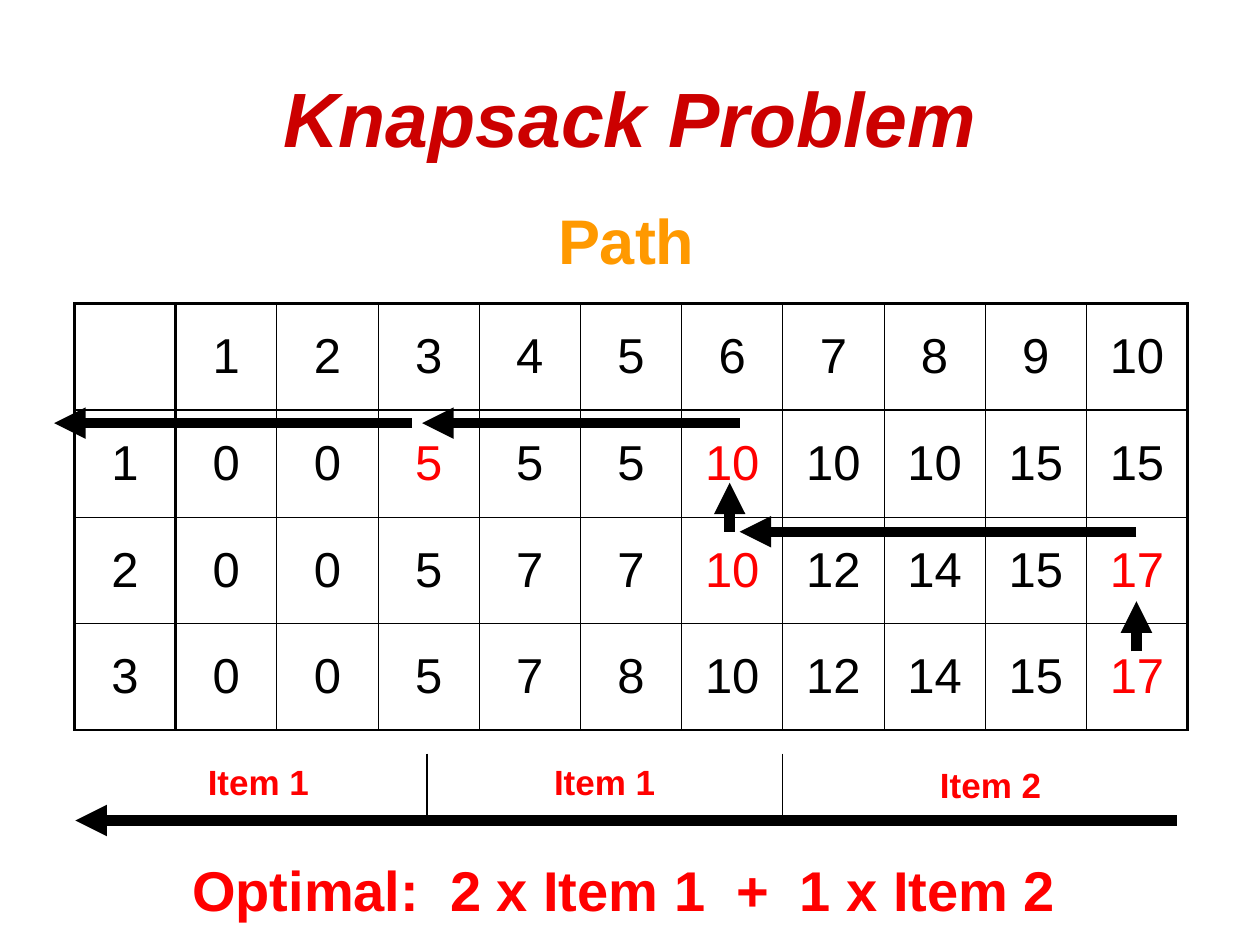
from dataclasses import dataclass

from lxml import etree
from pptx import Presentation
from pptx import util as u
from pptx.dml.color import RGBColor
from pptx.enum import shapes, text
from pptx.oxml import ns


@dataclass(frozen=True)
class Theme:
    font: str = "Arial"
    title_color: str = "CC0000"
    heading_color: str = "FF9900"
    path_color: str = "FF0000"
    ink: str = "000000"
    title_size: int = 44
    heading_size: int = 36
    result_size: int = 32
    cell_size: int = 28
    label_size: int = 20
    arrow_width: float = 6
    divider_width: float = 0.75
    heavy_border: float = 1.47
    light_border: float = 0.45


class KnapsackSlide:
    def __init__(self, deck, theme):
        self.theme = theme
        self.slide = deck.slides.add_slide(deck.slide_layouts[1])

    def set_words(self, frame, words, size, color, before=0, bold=True, italic=False):
        frame.text = words
        para = frame.paragraphs[0]
        para.alignment = text.PP_ALIGN.CENTER
        para.space_before = u.Pt(before)
        for span in para.runs:
            font = span.font
            font.name, font.size = self.theme.font, u.Pt(size)
            font.bold, font.italic = bold, italic
            font.color.rgb = RGBColor.from_string(color)
        return para

    def place(self, shape, left, top, width, height):
        shape.left, shape.top = u.Cm(left), u.Cm(top)
        shape.width, shape.height = u.Cm(width), u.Cm(height)
        frame = shape.text_frame
        frame.word_wrap = True
        frame.auto_size = text.MSO_AUTO_SIZE.NONE
        return frame

    def title(self, words, *area):
        frame = self.place(self.slide.shapes.title, *area)
        frame.vertical_anchor = text.MSO_ANCHOR.MIDDLE
        self.set_words(frame, words, self.theme.title_size, self.theme.title_color, italic=True)

    def heading(self, words, *area):
        frame = self.place(self.slide.placeholders[1], *area)
        para = self.set_words(frame, words, self.theme.heading_size, self.theme.heading_color, 9)
        properties = para._p.get_or_add_pPr()
        properties.set("marL", "0")
        properties.set("indent", "0")
        etree.SubElement(properties, ns.qn("a:buNone"))

    def label(self, words, size, before, *area):
        box = self.slide.shapes.add_textbox(0, 0, 0, 0)
        self.set_words(self.place(box, *area), words, size, self.theme.path_color, before)

    def line(self, start, end, width, arrow=False):
        points = [u.Cm(value) for value in (*start, *end)]
        connector = self.slide.shapes.add_connector(shapes.MSO_CONNECTOR.STRAIGHT, *points)
        connector.line.width = u.Pt(width)
        connector.line.color.rgb = RGBColor.from_string(self.theme.ink)
        if arrow:
            stroke = connector.line._get_or_add_ln()
            etree.SubElement(stroke, ns.qn("a:tailEnd"), type="triangle")
        etree.SubElement(connector._element.spPr, ns.qn("a:effectLst"))

    def border(self, cell, heavy_sides):
        for index, side in enumerate("LRTB"):
            width = self.theme.heavy_border if side in heavy_sides else self.theme.light_border
            edge = etree.Element(ns.qn(f"a:ln{side}"), w=str(u.Pt(width)))
            fill = etree.SubElement(edge, ns.qn("a:solidFill"))
            etree.SubElement(fill, ns.qn("a:srgbClr"), val=self.theme.ink)
            cell._tc.get_or_add_tcPr().insert(index, edge)

    def table(self, rows, path_cells, left, top, column_width, row_height):
        row_count, column_count = len(rows), len(rows[0])
        table = self.slide.shapes.add_table(
            row_count, column_count, u.Cm(left), u.Cm(top),
            u.Cm(column_width * column_count), u.Cm(row_height * row_count)).table
        table.first_row = table.horz_banding = False
        for column in table.columns:
            column.width = u.Cm(column_width)
        for r, row in enumerate(rows):
            table.rows[r].height = u.Cm(row_height)
            for c, value in enumerate(row):
                cell = table.cell(r, c)
                cell.vertical_anchor = text.MSO_ANCHOR.MIDDLE
                cell.fill.background()
                color = self.theme.path_color if (r, c) in path_cells else self.theme.ink
                self.set_words(cell.text_frame, str(value), self.theme.cell_size, color, 7,
                               bold=False)
                # Heavy lines frame the table and set off its headers
                heavy = {"L": c <= 1, "R": c in (0, column_count - 1),
                         "T": r <= 1, "B": r in (0, row_count - 1)}
                self.border(cell, [side for side in heavy if heavy[side]])


def main():
    deck = Presentation()
    deck.slide_width, deck.slide_height = u.Cm(25.4), u.Cm(19.05)
    theme = Theme()
    page = KnapsackSlide(deck, theme)

    # Headings
    page.title("Knapsack Problem", 1.27, 0.76, 22.86, 3.18)
    page.heading("Path", 1.5, 3.94, 22.25, 2.49)

    # Best value by item (rows) and capacity (columns)
    rows = [
        ["", *range(1, 11)],
        [1, 0, 0, 5, 5, 5, 10, 10, 10, 15, 15],
        [2, 0, 0, 5, 7, 7, 10, 12, 14, 15, 17],
        [3, 0, 0, 5, 7, 8, 10, 12, 14, 15, 17],
    ]
    path_cells = {(3, 10), (2, 10), (2, 6), (1, 6), (1, 3)}
    page.table(rows, path_cells, 1.5, 6.12, 2.04, 2.15)

    # Steps back through the table
    upper, lower = 8.53, 10.72
    steps = [
        ((22.91, 13.13), (22.91, 12.12)),
        ((22.91, lower), (14.91, lower)),
        ((14.71, lower), (14.71, 9.73)),
        ((14.91, upper), (8.51, upper)),
        ((8.31, upper), (1.09, upper)),
    ]
    for start, end in steps:
        page.line(start, end, theme.arrow_width, arrow=True)

    # Items chosen along the way
    page.line((23.72, 16.54), (1.52, 16.54), theme.arrow_width, arrow=True)
    for x in (15.77, 8.61):
        page.line((x, 15.19), (x, 16.48), theme.divider_width)
    for words, left, top in (("Item 2", 16.87, 15.27), ("Item 1", 9.09, 15.21),
                             ("Item 1", 2.11, 15.21)):
        page.label(words, theme.label_size, 5, left, top, 6.2, 1.19)

    # Result
    page.label("Optimal:  2 x Item 1  +  1 x Item 2", theme.result_size, 8,
               2.29, 17.12, 20.6, 1.68)

    deck.save("out.pptx")


if __name__ == "__main__":
    main()
